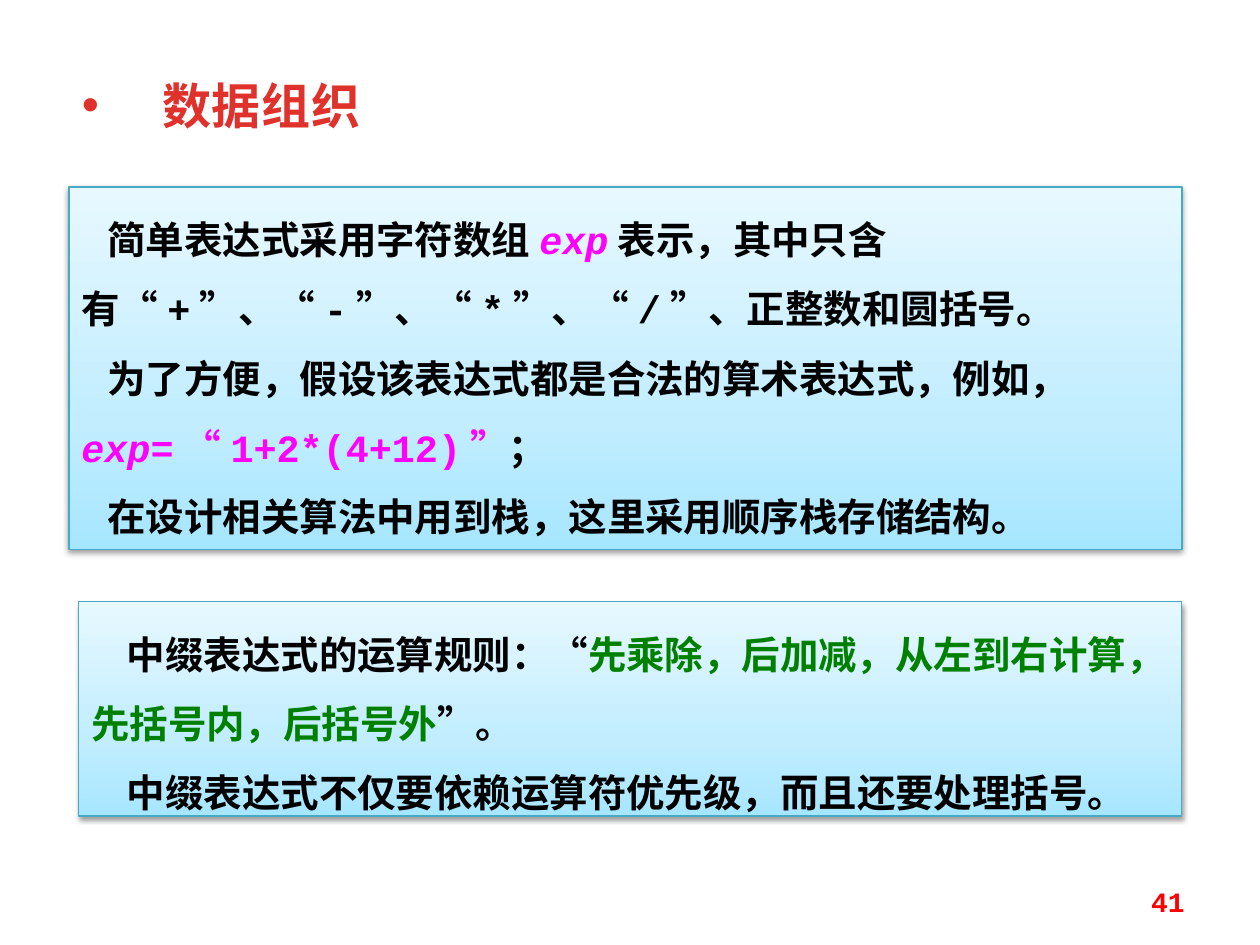
from copy import deepcopy
from dataclasses import dataclass

from lxml.etree import SubElement
from pptx import Presentation
from pptx.dml.color import RGBColor
from pptx.enum.shapes import MSO_SHAPE
from pptx.enum.text import MSO_ANCHOR, MSO_AUTO_SIZE, PP_ALIGN
from pptx.oxml.ns import qn
from pptx.util import Pt


@dataclass(frozen=True)
class Theme:
    """Colours, type sizes and font of the slide."""
    face: str = "Courier New"
    head: str = "E0322D"
    ink: str = "000000"
    code: str = "FF00FF"
    rule: str = "008000"
    page: str = "FF0000"
    edge: str = "46AAC5"
    fade: tuple = ((0, "A7E6FF"), (0.35, "C1EDFF"), (1, "E7F8FF"))
    big: int = 28
    body: int = 22
    small: int = 16


T = Theme()


def style(font, size, color):
    """Set face, size, weight and colour of a font."""
    font.name = T.face
    font.size = Pt(size)
    font.bold = True
    font.color.rgb = RGBColor.from_string(color)


def place(shape, left, top, width, height):
    """Move and size a shape, in points."""
    shape.left, shape.top = Pt(left), Pt(top)
    shape.width, shape.height = Pt(width), Pt(height)


def add_title(slide, text):
    """Fill the title as one bulleted line."""
    title = slide.shapes.title
    place(title, 39.6, 39.6, 240, 41)
    frame = title.text_frame
    frame.auto_size = MSO_AUTO_SIZE.NONE
    frame.vertical_anchor = MSO_ANCHOR.TOP
    para = frame.paragraphs[0]
    para.text = text
    para.alignment = PP_ALIGN.LEFT
    props = para._p.get_or_add_pPr()
    props.set("marL", str(Pt(45.8)))
    props.set("indent", str(Pt(-45.8)))
    SubElement(props, qn("a:buFont")).set("typeface", "Arial")
    SubElement(props, qn("a:buChar")).set("char", "•")
    style(para.font, T.big, T.head)
    para.font._rPr.set("spc", "50")


def add_fade(shape):
    """Fill a shape with the upward gradient."""
    fill = shape.fill
    fill.gradient()
    fill.gradient_angle = 90
    stops = shape._element.spPr.find(".//" + qn("a:gsLst"))
    stops.insert(1, deepcopy(stops[0]))
    for stop, (pos, color) in zip(fill.gradient_stops, T.fade):
        stop.position = pos
        stop.color.rgb = RGBColor.from_string(color)


def add_shade(shape):
    """Give a shape a soft shadow below."""
    shape.shadow.inherit = False
    effects = shape._element.spPr.find(qn("a:effectLst"))
    shade = SubElement(effects, qn("a:outerShdw"), blurRad=str(Pt(3.1)),
                       dist=str(Pt(1.6)), dir="5400000", rotWithShape="0")
    color = SubElement(shade, qn("a:srgbClr"), val="000000")
    SubElement(color, qn("a:alpha"), val="38000")


def add_panel(slide, area, indent, paras):
    """Add a shaded panel of paragraphs made of (text, colour, italic) runs."""
    panel = slide.shapes.add_shape(MSO_SHAPE.RECTANGLE, *map(Pt, area))
    add_fade(panel)
    panel.line.color.rgb = RGBColor.from_string(T.edge)
    panel.line.width = Pt(0.75)
    add_shade(panel)
    frame = panel.text_frame
    frame.word_wrap = True
    frame.vertical_anchor = MSO_ANCHOR.TOP
    for i, runs in enumerate(paras):
        para = frame.add_paragraph() if i else frame.paragraphs[0]
        para.alignment = PP_ALIGN.LEFT
        para.line_spacing = 1.5
        para._p.get_or_add_pPr().set("indent", str(Pt(indent)))
        style(para.font, T.body, T.ink)
        for text, color, slant in runs:
            run = para.add_run()
            run.text = text
            run.font.color.rgb = RGBColor.from_string(color)
            if slant:
                run.font.italic = True


def add_page(slide, text):
    """Add the page number at the lower right."""
    box = slide.shapes.add_textbox(Pt(516), Pt(500.4), Pt(168), Pt(28.8))
    frame = box.text_frame
    frame.word_wrap = True
    frame.vertical_anchor = MSO_ANCHOR.MIDDLE
    para = frame.paragraphs[0]
    para.text = text
    para.alignment = PP_ALIGN.RIGHT
    style(para.font, T.small, T.page)


def main():
    """Build and save the slide."""
    deck = Presentation()
    deck.slide_width, deck.slide_height = Pt(720), Pt(540)
    slide = deck.slides.add_slide(deck.slide_layouts[5])
    add_title(slide, "数据组织")
    add_panel(slide, (39.4, 106.8, 636, 207.2), 14.9, [
        [("简单表达式采用字符数组", T.ink, False),
         ("exp", T.code, True),
         ("表示，其中只含有“+”、“-”、“*”、“/”、正整数和圆括号。", T.ink, False)],
        [("为了方便，假设该表达式都是合法的算术表达式，例如，", T.ink, False),
         ("exp", T.code, True),
         ("=“1+2*(4+12)”", T.code, False),
         ("；", T.ink, False)],
        [("在设计相关算法中用到栈，这里采用顺序栈存储结构。", T.ink, False)],
    ])
    add_panel(slide, (45, 343.7, 630, 122.6), 20.4, [
        [("中缀表达式的运算规则：“", T.ink, False),
         ("先乘除，后加减，从左到右计算，先括号内，后括号外", T.rule, False),
         ("”。", T.ink, False)],
        [("中缀表达式不仅要依赖运算符优先级，而且还要处理括号。", T.ink, False)],
    ])
    add_page(slide, "41")
    deck.save("out.pptx")


if __name__ == "__main__":
    main()
